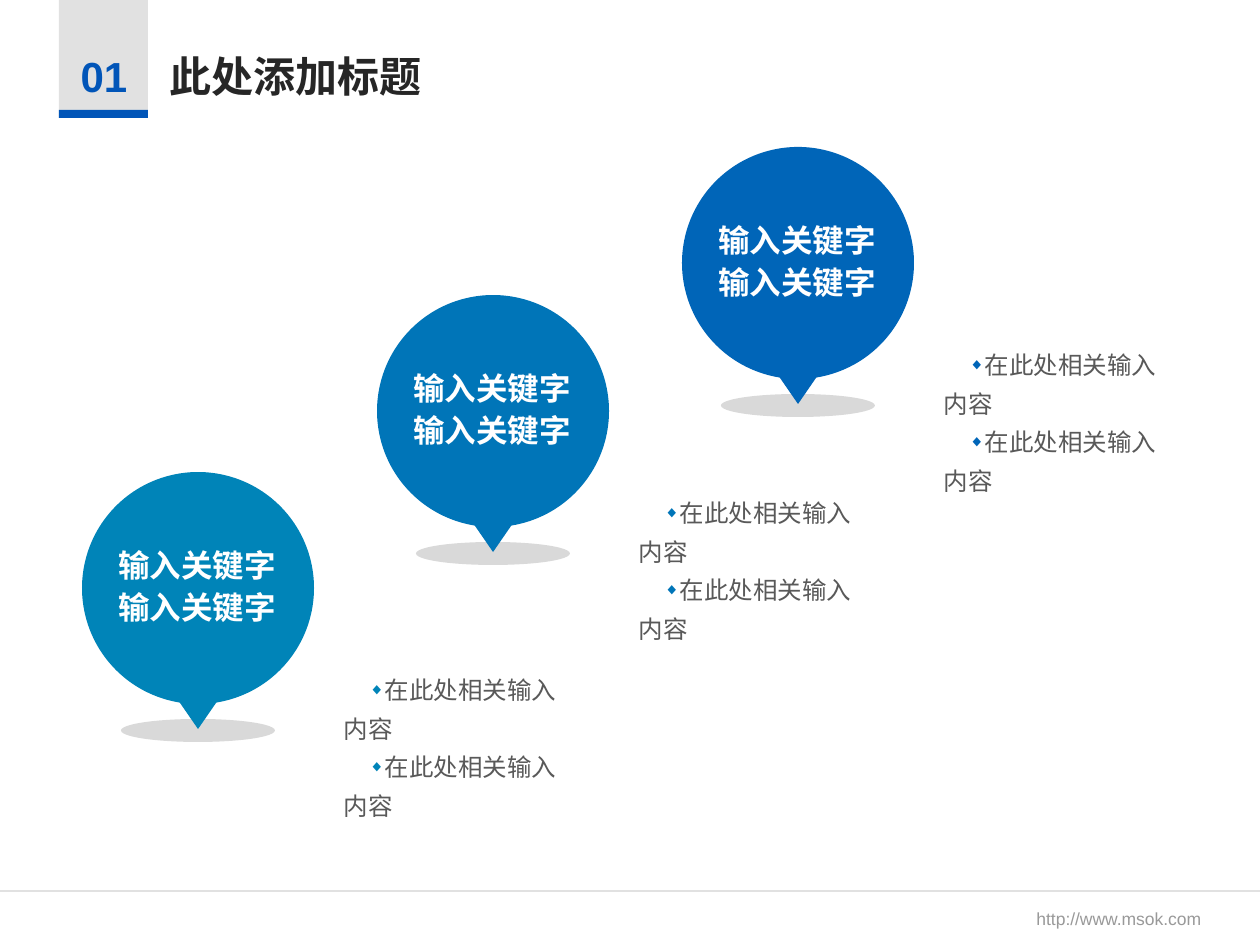
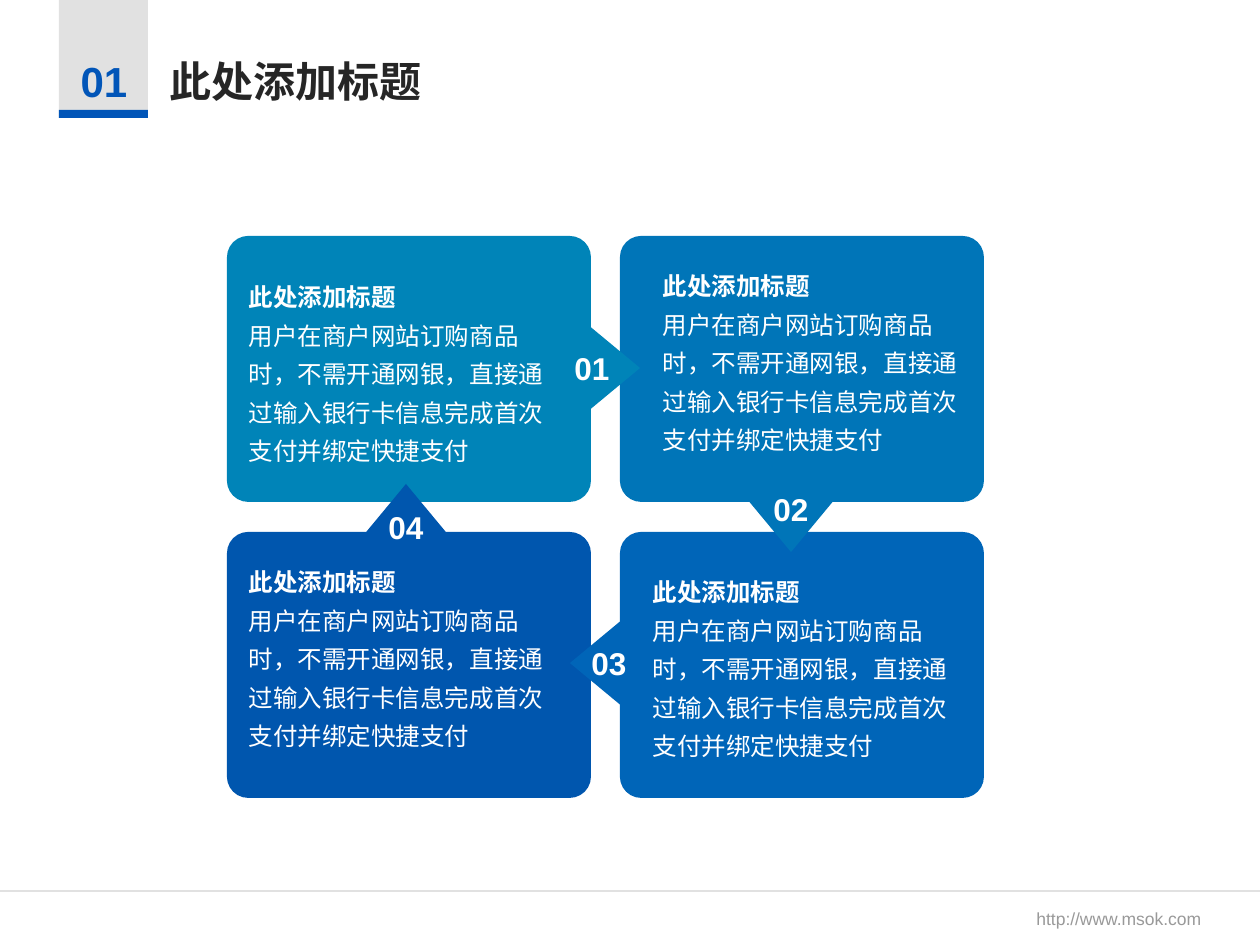
from lxml import etree
from pptx import Presentation
from pptx import util as u
from pptx.dml.color import RGBColor
from pptx.enum import shapes, text
from pptx.oxml import ns

# ---- Content -------------------------------------------------------------
SECTION = "01"
TITLE = "此处添加标题"
FOOTER = "http://www.msok.com"
KEYWORDS = ["输入关键字"] * 2
POINTS = ["在此处相关输入内容"] * 2
CARD_HEAD = "此处添加标题"
CARD_TEXT = ("用户在商户网站订购商品时，不需开通网银，"
             "直接通过输入银行卡信息完成首次支付并绑定快捷支付")

# Pins: left and top of the circle, colour
PINS = [(82, 472, "teal"), (377, 295, "azure"), (682, 147, "blue")]

# Cards: column, row, text position, colour
CARDS = [
    (0, 0, (236, 267), "teal"),
    (1, 0, (650, 256), "azure"),
    (1, 1, (640, 562), "blue"),
    (0, 1, (236, 552), "navy"),
]

# Arrows, one for each card: centre, turn in degrees, centre of the number
ARROWS = [
    ((615, 368), 90, (592, 368)),
    ((791, 527), 180, (791, 509)),
    ((595, 663), 270, (609, 663)),
    ((406, 509), 0, (406, 527)),
]

# ---- Theme ---------------------------------------------------------------
THEME = {
    "latin": "Arial",
    "cjk": "Noto Sans CJK SC",
    "colours": {
        "teal": "0084B8", "azure": "0075B8", "blue": "0065B8", "navy": "0056AE",
        "accent": "0155B8", "band": "E1E1E1", "shade": "D9D9D9", "white": "FFFFFF",
        "title": "262626", "body": "595959", "footer": "999999",
    },
    # size in points, colour, bold, line spacing in points (None is single)
    "styles": {
        "section": (24, "accent", True, None),
        "title": (24, "title", True, None),
        "footer": (10, "footer", False, None),
        "keyword": (18, "white", True, 24),
        "point": (14, "body", False, 22),
        "card_head": (14, "white", True, 22),
        "card_text": (14, "white", False, 22),
        "number": (18, "white", True, None),
    },
}
PX = u.Inches(1) / 126
SHAPE = shapes.MSO_SHAPE
LEFT, CENTRE = text.PP_ALIGN.LEFT, text.PP_ALIGN.CENTER
TOP, MIDDLE = text.MSO_ANCHOR.TOP, text.MSO_ANCHOR.MIDDLE
COMPARISON = 4  # layout with a title and four bodies


# ---- Helpers -------------------------------------------------------------
def emu(*lengths):
    return [u.Emu(round(length * PX)) for length in lengths]


def colour(name):
    return RGBColor.from_string(THEME["colours"][name])


def assign(target, values):
    for name, value in values.items():
        setattr(target, name, value)


def centred(centre, width, height):
    return centre[0] - width / 2, centre[1] - height / 2, width, height


def add_bullet(para, bullet):
    """Set the indent and bullet; keep punctuation inside the box."""
    props = para._p.get_or_add_pPr()
    props.set("marL", "0")
    props.set("indent", str(u.Inches(0.2) if bullet else 0))
    props.set("hangingPunct", "0")
    if not bullet:
        etree.SubElement(props, ns.qn("a:buNone"))
        return
    tint = etree.SubElement(props, ns.qn("a:buClr"))
    etree.SubElement(tint, ns.qn("a:srgbClr"), val=THEME["colours"][bullet])
    etree.SubElement(props, ns.qn("a:buSzPct"), val="65000")
    etree.SubElement(props, ns.qn("a:buChar"), char="◆")


def write(box, lines, align=LEFT, anchor=TOP, bullet=None):
    """Fill a box with (text, style) lines."""
    frame = box.text_frame
    assign(frame, {
        "word_wrap": True, "auto_size": text.MSO_AUTO_SIZE.NONE,
        "vertical_anchor": anchor,
        "margin_left": u.Inches(0.1), "margin_right": u.Inches(0.1),
        "margin_top": u.Inches(0.05), "margin_bottom": u.Inches(0.05),
    })
    for index, (words, style) in enumerate(lines):
        size, tint, bold, spacing = THEME["styles"][style]
        para = frame.add_paragraph() if index else frame.paragraphs[0]
        assign(para, {
            "alignment": align, "space_before": u.Pt(0), "space_after": u.Pt(0),
            "line_spacing": u.Pt(spacing) if spacing else 1.0,
        })
        add_bullet(para, bullet)
        span = para.add_run()
        span.text = words
        face = THEME["latin"] if words.isascii() else THEME["cjk"]
        assign(span.font, {"size": u.Pt(size), "bold": bold, "name": face})
        span.font.color.rgb = colour(tint)
        etree.SubElement(span.font._element, ns.qn("a:ea"), typeface=face)


def add_text(page, area, lines, **layout):
    box = page.shapes.add_textbox(*emu(*area))
    write(box, lines, **layout)
    return box


def fill_placeholder(box, area, lines, **layout):
    """Place a placeholder, fill it and bring it to the front."""
    assign(box, dict(zip(("left", "top", "width", "height"), emu(*area))))
    write(box, lines, **layout)
    box.element.getparent().append(box.element)


def add_shape(page, kind, area, tint, turn=0):
    shape = page.shapes.add_shape(kind, *emu(*area))
    shape.fill.solid()
    shape.fill.fore_color.rgb = colour(tint)
    shape.line.fill.background()
    shape.shadow.inherit = False
    shape.rotation = turn
    return shape


# ---- Shared parts --------------------------------------------------------
def furnish_layout(page):
    """Draw the band and the footer, then hand them to the page's layout."""
    rule = page.shapes.add_connector(
        shapes.MSO_CONNECTOR.STRAIGHT, *emu(0, 891, 1260, 891))
    rule.line.color.rgb = colour("band")
    rule.line.width = u.Pt(0.75)
    etree.SubElement(rule.element.spPr, ns.qn("a:effectLst"))
    parts = [
        rule,
        add_text(page, (1024, 902, 193, 34), [(FOOTER, "footer")]),
        add_shape(page, SHAPE.RECTANGLE, (59, 0, 89, 118), "band"),
        add_shape(page, SHAPE.RECTANGLE, (59, 110, 89, 8), "accent"),
    ]
    for number, part in enumerate(parts, 101):
        part.element.xpath(".//p:cNvPr")[0].set("id", str(number))
        page.slide_layout.shapes.element.append(part.element)


def add_heading(page, top):
    add_text(page, (59, top, 90, 63), [(SECTION, "section")],
             align=CENTRE, anchor=MIDDLE)
    fill_placeholder(page.shapes.title, (157, top, 900, 63),
                     [(TITLE, "title")], anchor=MIDDLE)


def bodies_of(page):
    return [box for box in page.placeholders if box.placeholder_format.idx]


# ---- Slides --------------------------------------------------------------
def build_pins(page):
    add_heading(page, 44)
    bodies = bodies_of(page)
    for body, (left, top, tint) in zip(bodies, PINS):
        add_shape(page, SHAPE.OVAL, (left + 39, top + 247, 154, 23), "shade")
        add_shape(page, SHAPE.OVAL, (left, top, 232, 232), tint)
        add_shape(page, SHAPE.ISOSCELES_TRIANGLE,
                  (left + 87, top + 215, 58, 42), tint, turn=180)
        add_text(page, (left + 15, top + 64, 200, 97),
                 [(word, "keyword") for word in KEYWORDS], align=CENTRE)
        fill_placeholder(body, (left + 249, top + 188, 246, 167),
                         [(point, "point") for point in POINTS], bullet=tint)
    for unused in bodies[len(PINS):]:
        unused.element.getparent().remove(unused.element)


def build_cards(page):
    add_heading(page, 49)
    for body, (column, row, corner, tint) in zip(bodies_of(page), CARDS):
        card = add_shape(page, SHAPE.ROUNDED_RECTANGLE,
                         (227 + 393 * column, 236 + 296 * row, 364, 266), tint)
        card.adjustments[0] = 0.08
        fill_placeholder(body, (*corner, 335, 205),
                         [(CARD_HEAD, "card_head"), (CARD_TEXT, "card_text")])
    for order, (card, arrow) in enumerate(zip(CARDS, ARROWS), 1):
        centre, turn, number_centre = arrow
        add_shape(page, SHAPE.ISOSCELES_TRIANGLE, centred(centre, 83, 50),
                  card[-1], turn)
        add_text(page, centred(number_centre, 61, 50),
                 [(f"{order:02}", "number")], align=CENTRE, anchor=MIDDLE)


def main():
    deck = Presentation()
    deck.slide_width, deck.slide_height = emu(1260, 945)
    layout = deck.slide_layouts[COMPARISON]
    pins_page, cards_page = [deck.slides.add_slide(layout) for _ in range(2)]
    furnish_layout(pins_page)
    build_pins(pins_page)
    build_cards(cards_page)
    deck.save("out.pptx")


if __name__ == "__main__":
    main()
